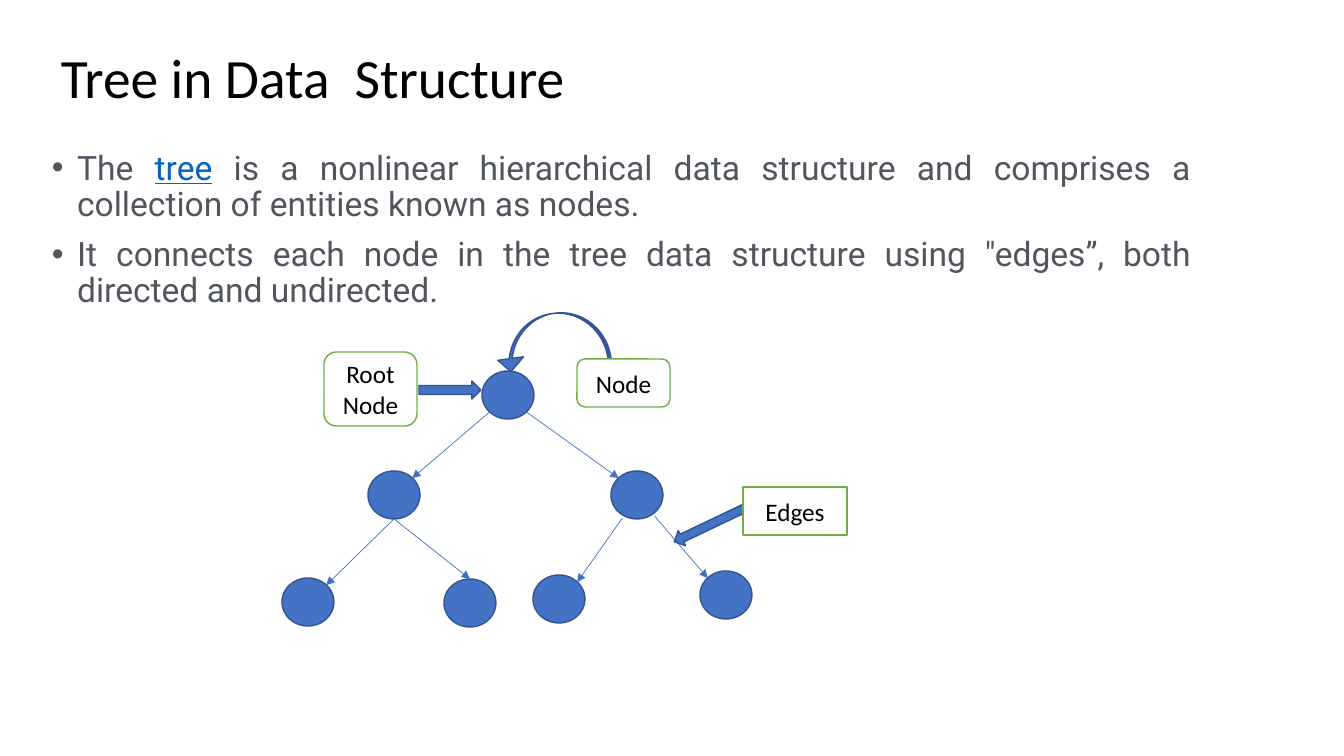
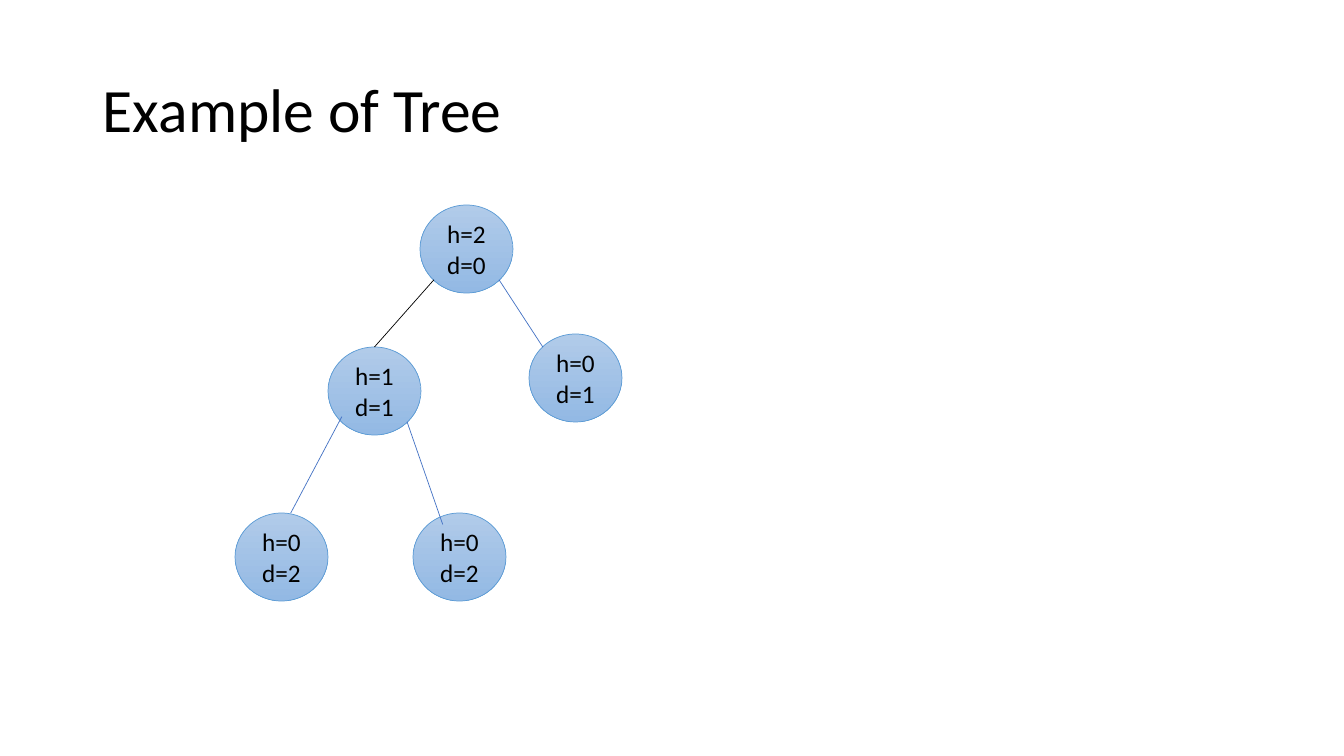
from lxml.etree import SubElement
from pptx import Presentation
from pptx.dml.color import RGBColor
from pptx.enum.shapes import MSO_CONNECTOR, MSO_SHAPE as SHAPE
from pptx.enum.text import MSO_ANCHOR, PP_ALIGN
from pptx.oxml.ns import qn
from pptx.util import Emu, Pt

BLACK, WHITE, SLATE, LINK = "000000", "FFFFFF", "51565E", "0563C1"
BLUE, NAVY, GREEN, SKY = "4472C4", "325491", "70AD47", "5B9BD5"
SKY_TOP, SKY_BOTTOM = "B1CBE9", "93B9E4"
HEADING_FONT, BODY_FONT = "Calibri", "Roboto"

TOP, BOTTOM = (0.5, 0), (0.5, 1)
TOP_LEFT, TOP_RIGHT = (0.15, 0.15), (0.85, 0.15)
BOTTOM_LEFT, BOTTOM_RIGHT = (0.15, 0.85), (0.85, 0.85)

BULLETS = [
    [("The ", SLATE), ("tree", LINK),
     (" is a nonlinear hierarchical data structure and comprises a "
      "collection of entities known as nodes.", SLATE)],
    [("It connects each node in the tree data structure using \"edges”, "
      "both directed and undirected.", SLATE)],
]

PARTS_TREE = {
    "size": (52, 48),
    "nodes": {
        "root": (482, 371, ""),
        "left": (368, 471, ""),
        "right": (611, 471, ""),
        "leaf 1": (282, 578, ""),
        "leaf 2": (444, 579, ""),
        "leaf 3": (533, 575, ""),
        "leaf 4": (700, 571, ""),
    },
    "edges": [
        ("root", BOTTOM_LEFT, "left", TOP_RIGHT, BLUE),
        ("root", BOTTOM_RIGHT, "right", TOP_LEFT, BLUE),
        ("left", BOTTOM, "leaf 1", TOP_RIGHT, BLUE),
        ("left", BOTTOM, "leaf 2", TOP, BLUE),
        ("right", (0.22, 0.98), "leaf 3", TOP_RIGHT, BLUE),
        ("right", (0.84, 0.94), "leaf 4", TOP_LEFT, BLUE),
    ],
}

HEIGHT_DEPTH_TREE = {
    "size": (93, 88),
    "nodes": {
        "root": (420, 205, "h=2\nd=0"),
        "left": (328, 347, "h=1\nd=1"),
        "right": (529, 334, "h=0\nd=1"),
        "leaf 1": (235, 513, "h=0\nd=2"),
        "leaf 2": (413, 513, "h=0\nd=2"),
    },
    "edges": [
        ("root", BOTTOM_LEFT, "left", TOP, BLACK),
        ("root", BOTTOM_RIGHT, "right", TOP_LEFT, BLUE),
        ("left", (0.15, 0.79), "leaf 1", (0.6, 0), BLUE),
        ("left", BOTTOM_RIGHT, "leaf 2", (0.32, 0.13), BLUE),
    ],
}

CALLOUTS = [
    (SHAPE.CURVED_RIGHT_ARROW, (525, 283, 52, 114), 82.2, (0.059, 0.5, 0.25),
     SHAPE.ROUNDED_RECTANGLE, (577, 359, 93, 48), "Node"),
    (SHAPE.DOWN_ARROW, (701, 486, 17, 78), 64.5, (),
     SHAPE.RECTANGLE, (743, 487, 104, 48), "Edges"),
    (SHAPE.RIGHT_ARROW, (419, 381, 62, 18), 0, (),
     SHAPE.ROUNDED_RECTANGLE, (324, 352, 93, 74), "Root Node"),
]


def px(length):
    return Emu(round(length * 914400 / 100.8))


def color(value):
    return RGBColor.from_string(value)


def style_font(font, name, size, value):
    font.name, font.size = name, Pt(size)
    font.color.rgb = color(value)


def add_box(slide, kind, box, fill, outline, weight=1, text=""):
    shape = slide.shapes.add_shape(kind, *map(px, box))
    shape.shadow.inherit = False
    if isinstance(fill, tuple):
        shape.fill.gradient()
        shape.fill.gradient_angle = 270
        for stop, value in zip(shape.fill.gradient_stops, fill):
            stop.color.rgb = color(value)
    else:
        shape.fill.solid()
        shape.fill.fore_color.rgb = color(fill)
    shape.line.color.rgb = color(outline)
    shape.line.width = Pt(weight)
    if text:
        shape.text_frame.text = text
        shape.text_frame.vertical_anchor = MSO_ANCHOR.MIDDLE
        for paragraph in shape.text_frame.paragraphs:
            paragraph.alignment = PP_ALIGN.CENTER
            style_font(paragraph.runs[0].font, HEADING_FONT, 18, BLACK)
    return shape


def add_text_frame(slide, box):
    frame = slide.shapes.add_textbox(*map(px, box)).text_frame
    frame.word_wrap = True
    return frame


def add_title(slide, text, box, size):
    frame = add_text_frame(slide, box)
    frame.vertical_anchor = MSO_ANCHOR.MIDDLE
    frame.text = text
    title = frame.paragraphs[0]
    title.line_spacing = 0.9
    style_font(title.runs[0].font, HEADING_FONT, size, BLACK)


def add_bullets(slide, bullets, box):
    frame = add_text_frame(slide, box)
    for index, pieces in enumerate(bullets):
        bullet = frame.add_paragraph() if index else frame.paragraphs[0]
        bullet.alignment = PP_ALIGN.JUSTIFY
        bullet.line_spacing = 0.9
        bullet.space_before = Pt(10)
        for text, value in pieces:
            run = bullet.add_run()
            run.text = text
            style_font(run.font, BODY_FONT, 24, value)
            run.font.underline = value == LINK
        properties = bullet._p.get_or_add_pPr()
        properties.set("marL", "228600")
        properties.set("indent", "-228600")
        SubElement(properties, qn("a:buFont")).set("typeface", "Arial")
        SubElement(properties, qn("a:buChar")).set("char", "•")


def add_edge(slide, start, end, value, arrow):
    edge = slide.shapes.add_connector(MSO_CONNECTOR.STRAIGHT, *map(px, start + end))
    edge.line.color.rgb = color(value)
    edge.line.width = Pt(0.5)
    properties = edge._element.spPr
    if arrow:
        SubElement(properties.find(qn("a:ln")), qn("a:tailEnd")).set("type", "triangle")
    SubElement(properties, qn("a:effectLst"))


def add_tree(slide, tree, fill, outline, weight, arrows):
    width, height = tree["size"]
    nodes = tree["nodes"]

    def site(node, fractions):
        left, top, _ = nodes[node]
        return left + fractions[0] * width, top + fractions[1] * height

    for left, top, text in nodes.values():
        add_box(slide, SHAPE.FLOWCHART_CONNECTOR, (left, top, width, height),
                fill, outline, weight, text)
    for parent, leaving, child, entering, value in tree["edges"]:
        add_edge(slide, site(parent, leaving), site(child, entering), value, arrows)


def add_callouts(slide):
    for pointer, pointer_box, turn, adjustments, frame, label_box, label in CALLOUTS:
        arrow = add_box(slide, pointer, pointer_box, BLUE, NAVY)
        arrow.rotation = turn
        for index, amount in enumerate(adjustments):
            arrow.adjustments[index] = amount
        add_box(slide, frame, label_box, WHITE, GREEN, text=label)


def main():
    deck = Presentation()
    deck.slide_width, deck.slide_height = px(1344), px(756)
    blank = deck.slide_layouts[6]

    parts = deck.slides.add_slide(blank)
    add_title(parts, "Tree in Data  Structure", (51, 46, 1120, 69), 39.6)
    add_bullets(parts, BULLETS, (42, 146, 1159, 176))
    add_tree(parts, PARTS_TREE, BLUE, NAVY, 1, True)
    add_callouts(parts)

    example = deck.slides.add_slide(blank)
    add_title(example, "Example of Tree", (93, 40, 1159, 146), 44)
    add_tree(example, HEIGHT_DEPTH_TREE, (SKY_TOP, SKY_BOTTOM), SKY, 0.5, False)

    deck.save("out.pptx")


if __name__ == "__main__":
    main()
